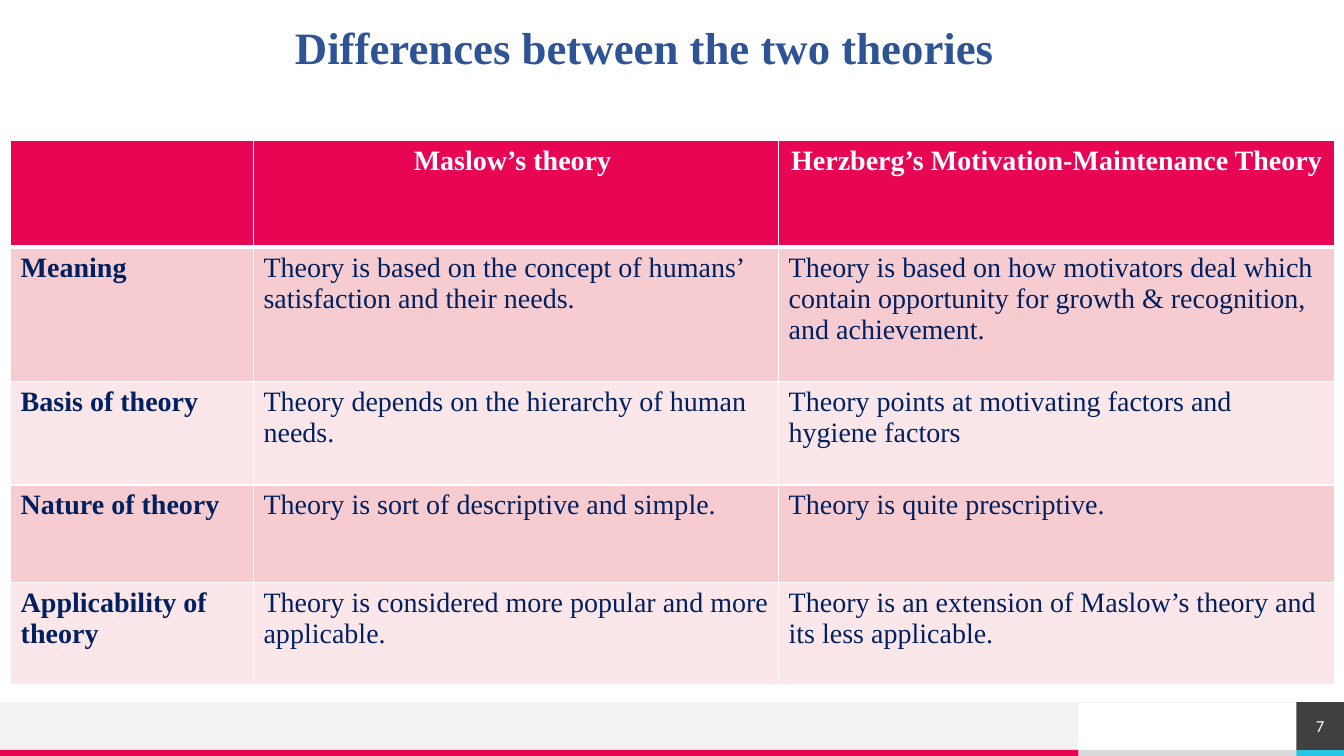
from lxml.etree import SubElement
from pptx import Presentation
from pptx.dml.color import RGBColor
from pptx.enum.shapes import MSO_CONNECTOR, MSO_SHAPE
from pptx.enum.text import MSO_ANCHOR, MSO_AUTO_SIZE, PP_ALIGN
from pptx.oxml import parse_xml
from pptx.oxml.ns import nsdecls, qn
from pptx.util import Pt

COLORS = {
    "pink": "E80554", "cyan": "25C6E3", "dark": "404040", "silver": "DADADA",
    "pale": "F2F2F2", "white": "FFFFFF", "heading": "2F5496", "navy": "002060",
    "rose": "F6CCD1", "blush": "FBE7E9",
}
SERIF = "Times New Roman"


def style(font, name, size, color, bold=False):
    font.name, font.size, font.bold = name, Pt(size), bold
    font.color.rgb = RGBColor.from_string(COLORS[color])


def add_bar(left, top, width, height, color):
    bar = slide.shapes.add_shape(MSO_SHAPE.RECTANGLE, Pt(left), Pt(top), Pt(width), Pt(height))
    bar.shadow.inherit = False
    bar.fill.solid()
    bar.fill.fore_color.rgb = RGBColor.from_string(COLORS[color])
    bar.line.fill.background()
    return bar


deck = Presentation()
deck.slide_width, deck.slide_height = Pt(960), Pt(540)
slide = deck.slides.add_slide(deck.slide_layouts[5])

for left, top, width, height, color in [
    (770.4, 535.7, 156, 4.3, "silver"),
    (0, 501.6, 770.4, 34.1, "pale"),
    (0, 535.7, 770.4, 4.3, "pink"),
    (926, 535.7, 34, 4.3, "cyan"),
]:
    add_bar(left, top, width, height, color)

footer_rule = slide.shapes.add_connector(
    MSO_CONNECTOR.STRAIGHT, Pt(960), Pt(501.6), Pt(0), Pt(501.6))
footer_rule.line.color.rgb = RGBColor.from_string(COLORS["pale"])
footer_rule.line.width = Pt(0.5)
SubElement(footer_rule._element.spPr, qn("a:effectLst"))

title = slide.shapes.title
title.left, title.top, title.width, title.height = Pt(18), Pt(18.5), Pt(892.8), Pt(28)
heading = title.text_frame
heading.text = "Differences between the two theories "
heading.word_wrap = True
heading.auto_size = MSO_AUTO_SIZE.NONE
heading.vertical_anchor = MSO_ANCHOR.TOP
heading.margin_left = heading.margin_right = heading.margin_top = heading.margin_bottom = 0
heading.paragraphs[0].alignment = PP_ALIGN.CENTER
heading.paragraphs[0].line_spacing = 0.9
style(heading.paragraphs[0].font, SERIF, 32, "heading", True)

page_number = add_bar(926, 501.6, 34, 34.1, "dark").text_frame
page_number.text = "7"
page_number.margin_left = page_number.margin_right = 0
page_number.margin_top = page_number.margin_bottom = 0
page_number.vertical_anchor = MSO_ANCHOR.MIDDLE
page_number.paragraphs[0].alignment = PP_ALIGN.CENTER
style(page_number.paragraphs[0].font, "Calibri", 12, "white")

comparison = [
    ("", "Maslow’s theory ", "Herzberg’s Motivation-Maintenance Theory"),
    ("Meaning",
     "Theory is based on the concept of humans’ satisfaction and their needs.",
     "Theory is based on how motivators deal which contain opportunity for growth "
     "& recognition, and achievement."),
    ("Basis of theory",
     "Theory depends on the hierarchy of human needs.",
     "Theory points at motivating factors and hygiene factors"),
    ("Nature of theory",
     "Theory is sort of descriptive and simple.",
     "Theory is quite prescriptive."),
    ("Applicability of theory",
     "Theory is considered more popular and more applicable.",
     "Theory is an extension of Maslow’s theory and its less applicable."),
]
column_widths = [173.5, 375.1, 397.4]
row_heights = [76, 96, 74, 69.5, 73.5]
table = slide.shapes.add_table(
    len(row_heights), len(column_widths), Pt(7.6), Pt(100.4),
    Pt(sum(column_widths)), Pt(sum(row_heights))).table
for column, width in zip(table.columns, column_widths):
    column.width = Pt(width)

for r, (height, texts) in enumerate(zip(row_heights, comparison)):
    table.rows[r].height = Pt(height)
    fill = "pink" if r == 0 else "rose" if r % 2 else "blush"
    for c, text in enumerate(texts):
        cell = table.cell(r, c)
        cell.text = text
        paragraph = cell.text_frame.paragraphs[0]
        paragraph.alignment = PP_ALIGN.LEFT if r else PP_ALIGN.CENTER
        style(paragraph.font, SERIF, 20, "navy" if r else "white", r == 0 or c == 0)
        cell.fill.solid()
        cell.fill.fore_color.rgb = RGBColor.from_string(COLORS[fill])
        for position, side in enumerate("LRTB"):
            weight = 3 if (r, side) in [(0, "B"), (1, "T")] else 1
            cell._tc.get_or_add_tcPr().insert(position, parse_xml(
                f'<a:ln{side} {nsdecls("a")} w="{Pt(weight)}"><a:solidFill>'
                f'<a:srgbClr val="{COLORS["white"]}"/></a:solidFill></a:ln{side}>'))

deck.save("out.pptx")
